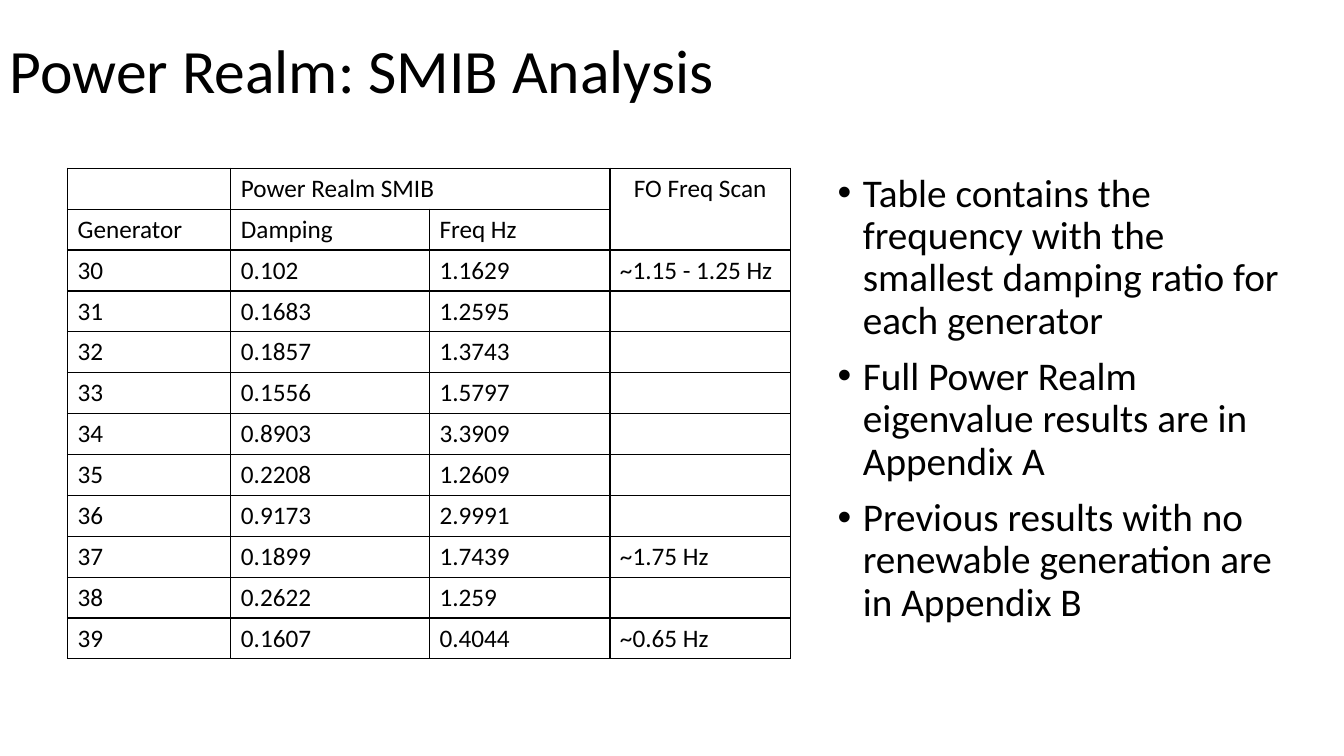
from lxml import etree
from pptx import Presentation
from pptx.dml.color import RGBColor
from pptx.enum import text
from pptx.oxml import ns
from pptx.util import Inches, Pt

TITLE = "Power Realm: SMIB Analysis"
POINTS = [
    "Table contains the frequency with the smallest damping ratio for each generator",
    "Full Power Realm eigenvalue results are in Appendix A",
    "Previous results with no renewable generation are in Appendix B",
]
ROWS = [
    ("", "Power Realm SMIB", "", "FO Freq Scan"),
    ("Generator", "Damping", "Freq Hz", ""),
    ("30", "0.102", "1.1629", "~1.15 - 1.25 Hz"),
    ("31", "0.1683", "1.2595", ""),
    ("32", "0.1857", "1.3743", ""),
    ("33", "0.1556", "1.5797", ""),
    ("34", "0.8903", "3.3909", ""),
    ("35", "0.2208", "1.2609", ""),
    ("36", "0.9173", "2.9991", ""),
    ("37", "0.1899", "1.7439", "~1.75 Hz"),
    ("38", "0.2622", "1.259", ""),
    ("39", "0.1607", "0.4044", "~0.65 Hz"),
]
WIDTHS = [1.62, 1.97, 1.79, 1.79]
MERGES = [((0, 1), (0, 2)), ((0, 3), (1, 3))]
THEME = {"font": "Calibri", "ink": "000000", "title": 44, "body": 28, "cell": 18, "rule": 1}


def write(para, words, size):
    run = para.add_run()
    run.text = words
    run.font.name = THEME["font"]
    run.font.size = Pt(THEME[size])
    run.font.color.rgb = RGBColor.from_string(THEME["ink"])


def add_box(slide, spot, anchor):
    frame = slide.shapes.add_textbox(*map(Inches, spot)).text_frame
    frame.word_wrap = True
    frame.vertical_anchor = anchor
    return frame


def add_title(slide):
    frame = add_box(slide, (0, 0, 11.5, 1.45), text.MSO_ANCHOR.MIDDLE)
    para = frame.paragraphs[0]
    para.line_spacing = 0.9
    write(para, TITLE, "title")


def add_points(slide):
    frame = add_box(slide, (8.21, 1.67, 4.69, 4.76), text.MSO_ANCHOR.TOP)
    for i, words in enumerate(POINTS):
        para = frame.add_paragraph() if i else frame.paragraphs[0]
        para.line_spacing = 0.9
        para.space_before = Pt(10 if i else 0)
        props = para._p.get_or_add_pPr()
        props.set("marL", str(Inches(0.25)))
        props.set("indent", str(Inches(-0.25)))
        etree.SubElement(props, ns.qn("a:buFont"), typeface="Arial")
        etree.SubElement(props, ns.qn("a:buChar"), char="•")
        write(para, words, "body")


def add_rules(cell):
    props = cell._tc.get_or_add_tcPr()
    for i, side in enumerate(("lnL", "lnR", "lnT", "lnB")):
        line = etree.Element(ns.qn("a:" + side), w=str(Pt(THEME["rule"])))
        fill = etree.SubElement(line, ns.qn("a:solidFill"))
        etree.SubElement(fill, ns.qn("a:srgbClr"), val=THEME["ink"])
        props.insert(i, line)


def add_grid(slide):
    spot = map(Inches, (0.67, 1.67, sum(WIDTHS), 4.87))
    grid = slide.shapes.add_table(len(ROWS), len(WIDTHS), *spot).table
    grid.first_row = grid.horz_banding = False
    for col, width in zip(grid.columns, WIDTHS):
        col.width = Inches(width)
    for start, end in MERGES:
        grid.cell(*start).merge(grid.cell(*end))
    for r, row in enumerate(ROWS):
        for c, words in enumerate(row):
            cell = grid.cell(r, c)
            cell.fill.background()
            add_rules(cell)
            if words:
                write(cell.text_frame.paragraphs[0], words, "cell")
    grid.cell(0, 3).text_frame.paragraphs[0].alignment = text.PP_ALIGN.CENTER


def main():
    deck = Presentation()
    deck.slide_width, deck.slide_height = Inches(13.33), Inches(7.5)
    slide = deck.slides.add_slide(deck.slide_layouts[6])
    add_title(slide)
    add_points(slide)
    add_grid(slide)
    deck.save("out.pptx")


if __name__ == "__main__":
    main()
